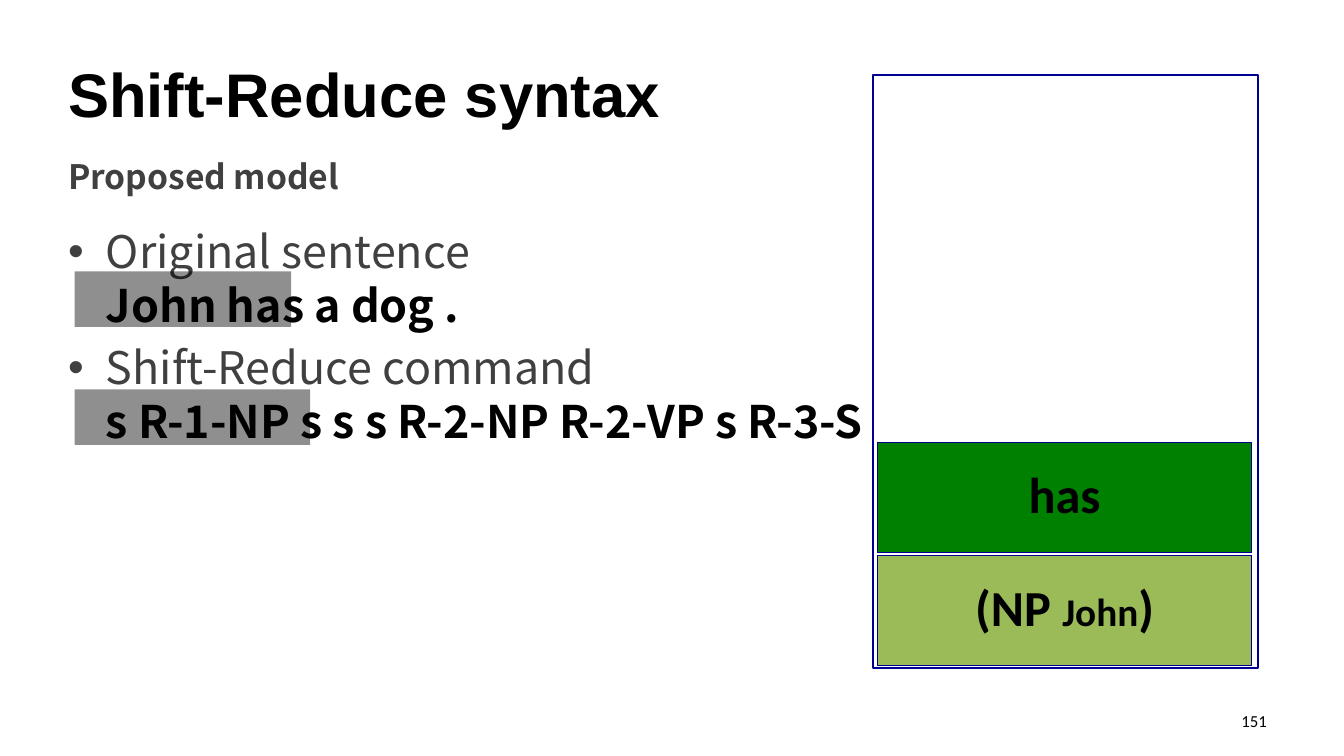
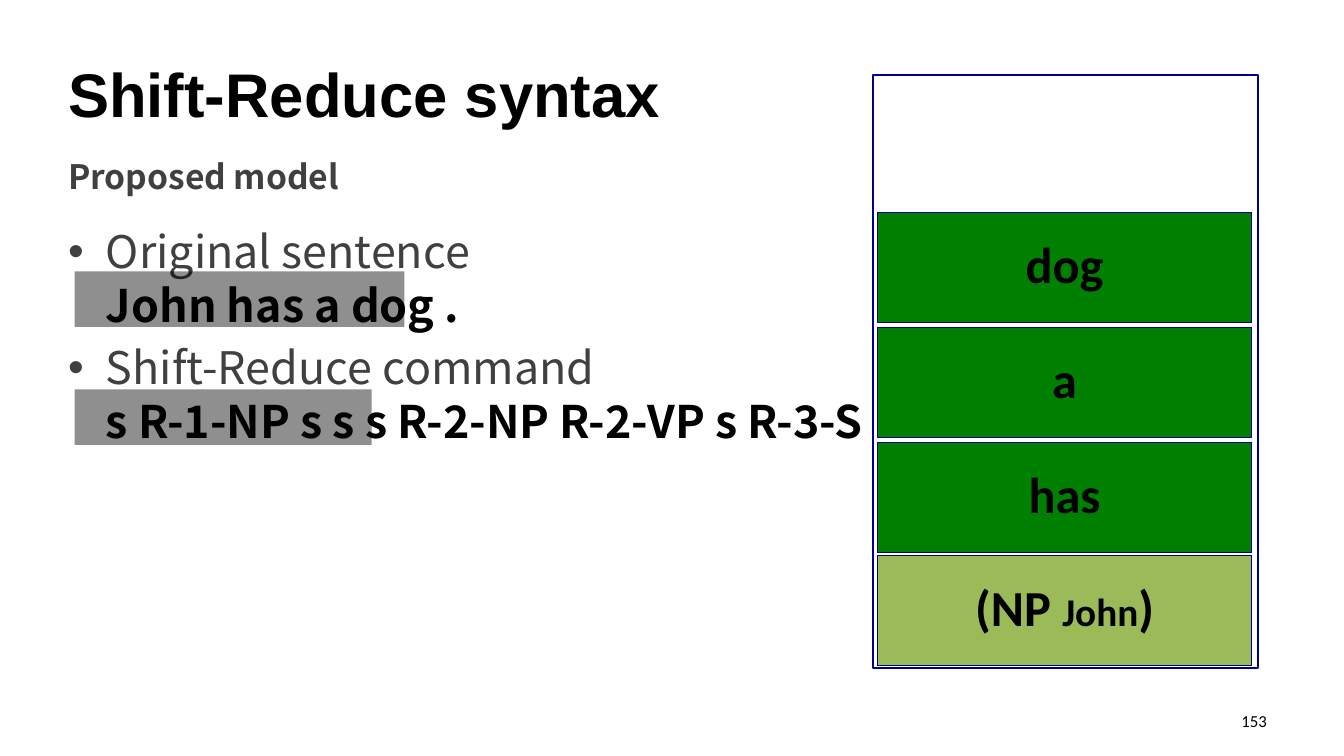
from lxml import etree
from pptx import Presentation
from pptx.dml.color import RGBColor
from pptx.enum.shapes import MSO_SHAPE
from pptx.enum.text import MSO_ANCHOR, PP_ALIGN
from pptx.oxml.ns import qn
from pptx.util import Cm, Pt

RECTANGLE = MSO_SHAPE.RECTANGLE
MIDDLE, TOP = MSO_ANCHOR.MIDDLE, MSO_ANCHOR.TOP
LEFT, CENTER, RIGHT = PP_ALIGN.LEFT, PP_ALIGN.CENTER, PP_ALIGN.RIGHT

BLACK = RGBColor(0x00, 0x00, 0x00)
GRAY = RGBColor(0x40, 0x40, 0x40)
NAVY = RGBColor(0x00, 0x00, 0x90)
GREEN = RGBColor(0x00, 0x80, 0x00)
OLIVE = RGBColor(0x9B, 0xBB, 0x59)

TITLE_FONT, BODY_FONT, TILE_FONT = "Arial", "Noto Sans CJK KR", "Calibri"
MARGIN = 1.47
HIGHLIGHT_LEFT, HIGHLIGHT_HEIGHT = 1.88, 1.4
SENTENCE_TOP, COMMAND_TOP = 6.84, 9.81
TILE_LEFT, TILE_WIDTH, TILE_HEIGHT = 22.11, 9.44, 2.77
PHRASE_TOP, FIRST_WORD_TOP, WORD_PITCH = 14, 11.15, 2.9

# Page number, words on the stack, widths of the sentence and command highlights
STEPS = [
    ("151", ["has"], 5.46, 5.94),
    ("153", ["has", "a", "dog"], 8.31, 7.49),
]


def add_text(paragraph, text, *, size, font=BODY_FONT, color=BLACK, bold=False):
    run = paragraph.add_run()
    run.text = text
    run.font.size = Pt(size)
    run.font.name = font
    run.font.color.rgb = color
    run.font.bold = bold


def add_text_box(slide, left, top, width, height, anchor=TOP, align=LEFT):
    """Add an empty wrapping text box and return its text frame."""
    box = slide.shapes.add_textbox(Cm(left), Cm(top), Cm(width), Cm(height))
    frame = box.text_frame
    frame.word_wrap = True
    frame.vertical_anchor = anchor
    frame.paragraphs[0].alignment = align
    return frame


def add_rectangle(slide, left, top, width, height, fill=None, line_width=None):
    shape = slide.shapes.add_shape(RECTANGLE, Cm(left), Cm(top), Cm(width), Cm(height))
    shape.shadow.inherit = False
    if fill is None:
        shape.fill.background()
    else:
        shape.fill.solid()
        shape.fill.fore_color.rgb = fill
    if line_width is None:
        shape.line.fill.background()
    else:
        shape.line.color.rgb = NAVY
        shape.line.width = Pt(line_width)
    return shape


def add_tile(slide, top, fill, parts):
    """Add one stack entry; parts are (text, size) pairs."""
    tile = add_rectangle(slide, TILE_LEFT, top, TILE_WIDTH, TILE_HEIGHT, fill, 0.75)
    frame = tile.text_frame
    frame.margin_left = frame.margin_right = frame.margin_top = frame.margin_bottom = 0
    frame.vertical_anchor = MIDDLE
    paragraph = frame.paragraphs[0]
    paragraph.alignment = CENTER
    paragraph.line_spacing = 0.9
    for text, size in parts:
        add_text(paragraph, text, size=size, font=TILE_FONT, bold=True)


def add_stack(slide, words):
    for index, word in enumerate(words):
        add_tile(slide, FIRST_WORD_TOP - index * WORD_PITCH, GREEN, [(word, 36)])
    add_rectangle(slide, 22, 1.9, 9.7, 14.94, line_width=1.5)
    add_tile(slide, PHRASE_TOP, OLIVE, [("(NP ", 36), ("John", 28), (")", 36)])


def add_bullet(paragraph, label, example):
    properties = paragraph._p.get_or_add_pPr()
    indent = Cm(0.95)
    properties.set("marL", str(indent))
    properties.set("indent", str(-indent))
    etree.SubElement(properties, qn("a:buFont"), typeface=TITLE_FONT)
    etree.SubElement(properties, qn("a:buChar"), char="•")
    add_text(paragraph, label, size=32, color=GRAY)
    paragraph.add_line_break()
    add_text(paragraph, example, size=32, bold=True)


def add_body(slide):
    frame = add_text_box(slide, MARGIN, 5.51, 22.35, 10.62)
    add_bullet(frame.paragraphs[0], "Original sentence", "John has a dog .")
    command = frame.add_paragraph()
    add_bullet(command, "Shift-Reduce command", "s R-1-NP s s s R-2-NP R-2-VP s R-3-S")
    command.space_before = Pt(6.4)


def add_highlight(slide, top, width):
    """Add a see-through band over the part already processed."""
    band = add_rectangle(slide, HIGHLIGHT_LEFT, top, width, HIGHLIGHT_HEIGHT, BLACK)
    color = band.fill._xPr.find(qn("a:solidFill"))[0]
    etree.SubElement(color, qn("a:alpha"), val="44000")


def add_headings(slide, page_number):
    number = add_text_box(slide, 24.28, 17.65, 7.9, 1.02, MIDDLE, RIGHT)
    add_text(number.paragraphs[0], page_number, size=12, font=TILE_FONT)
    title = add_text_box(slide, MARGIN, 1.12, 30.91, 2.46, MIDDLE)
    add_text(title.paragraphs[0], "Shift-Reduce syntax", size=44, font=TITLE_FONT, bold=True)
    subtitle = add_text_box(slide, MARGIN, 3.81, 30.91, 0.97)
    add_text(subtitle.paragraphs[0], "Proposed model", size=24, color=GRAY, bold=True)


def main():
    presentation = Presentation()
    presentation.slide_width, presentation.slide_height = Cm(33.87), Cm(19.05)
    blank_layout = presentation.slide_layouts[6]
    for page_number, words, sentence_width, command_width in STEPS:
        slide = presentation.slides.add_slide(blank_layout)
        add_stack(slide, words)
        add_headings(slide, page_number)
        add_body(slide)
        add_highlight(slide, COMMAND_TOP, command_width)
        add_highlight(slide, SENTENCE_TOP, sentence_width)
    presentation.save("out.pptx")


if __name__ == "__main__":
    main()
